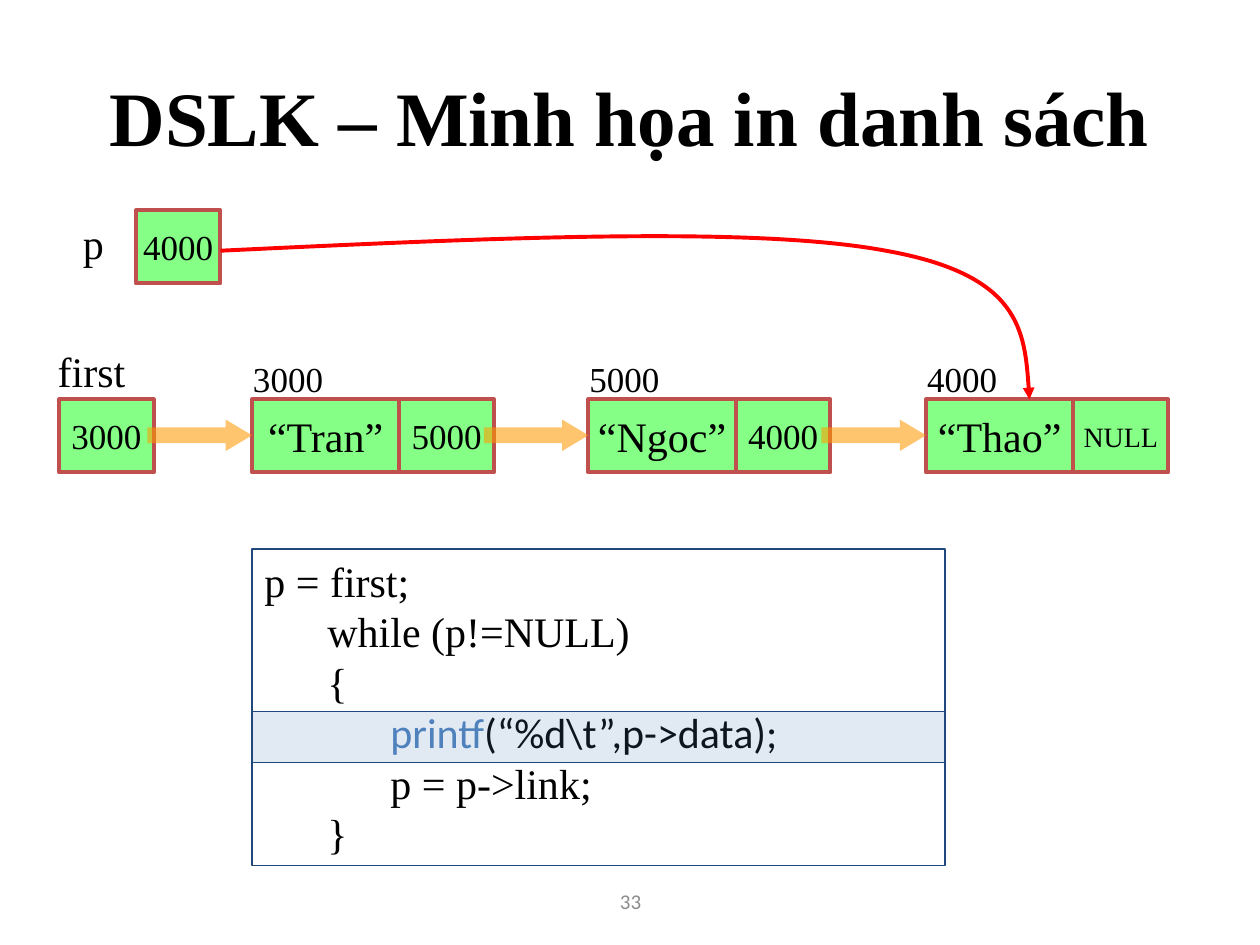
import dataclasses
import itertools

import pptx
import pptx.dml.color
import pptx.enum.shapes
import pptx.enum.text
import pptx.oxml
import pptx.oxml.ns
import pptx.util

Inches = pptx.util.Inches
Pt = pptx.util.Pt
Shape = pptx.enum.shapes.MSO_SHAPE
Align = pptx.enum.text.PP_ALIGN
Anchor = pptx.enum.text.MSO_ANCHOR
qn = pptx.oxml.ns.qn


@dataclasses.dataclass(frozen=True)
class Theme:
    serif: str = "Times New Roman"
    sans: str = "Calibri"
    ink: str = "000000"
    gray: str = "8C8C8C"
    green: str = "00FF00"
    edge: str = "C0504D"
    amber: str = "FF9900"
    navy: str = "1F497D"
    blue: str = "4F81BD"
    red: str = "FF0000"
    head: int = 44
    large: int = 24
    mid: int = 20
    small: int = 16
    foot: int = 12


theme = Theme()


def color(code):
    return pptx.dml.color.RGBColor.from_string(code)


def style(font, size, ink=theme.ink, face=theme.serif):
    font.size, font.name = Pt(size), face
    font.color.rgb = color(ink)


def block(slide, kind, box, fill=None, alpha=100, line=None, width=1):
    shape = slide.shapes.add_shape(kind, *map(Inches, box))
    shape.shadow.inherit = False
    if fill:
        shape.fill.solid()
        shape.fill.fore_color.rgb = color(fill)
        tint = shape._element.spPr.find(qn("a:solidFill"))[0]
        tint.append(pptx.oxml.parse_xml(
            f'<a:alpha {pptx.oxml.ns.nsdecls("a")} val="{alpha * 1000}"/>'))
    else:
        shape.fill.background()
    if line:
        shape.line.color.rgb = color(line)
        shape.line.width = Pt(width)
    else:
        shape.line.fill.background()
    return shape


def label(slide, box, text, size, ink=theme.ink, face=theme.serif, center=False):
    frame = slide.shapes.add_textbox(*map(Inches, box)).text_frame
    frame.word_wrap = center
    para = frame.paragraphs[0]
    para.text = text
    if center:
        frame.vertical_anchor = Anchor.MIDDLE
        para.alignment = Align.CENTER
    style(para.font, size, ink, face)


def cell(slide, box, text, size):
    shape = block(slide, Shape.RECTANGLE, box, theme.green, 48, theme.edge, 2.25)
    frame = shape.text_frame
    frame.word_wrap = False
    frame.vertical_anchor = Anchor.MIDDLE
    para = frame.paragraphs[0]
    para.text = text
    para.alignment = Align.CENTER
    style(para.font, size)


def node(slide, left, top, place, data, link):
    size = theme.small if link == "NULL" else theme.mid
    cell(slide, (left, top, 1.17, 0.58), data, theme.large)
    cell(slide, (left + 1.17, top, 0.75, 0.58), link, size)
    label(slide, (left - 0.09, top - 0.38, 0.76, 0.43), place, theme.mid)


def arrow(slide, tip, top):
    box = (tip - 0.83, top + 0.16, 0.83, 0.25)
    shape = block(slide, Shape.RIGHT_ARROW, box, theme.amber, 57)
    shape.adjustments[0], shape.adjustments[1] = 0.5, 0.833


def chain(slide, left, top):
    cell(slide, (left, top, 0.75, 0.58), "3000", theme.mid)
    label(slide, (left - 0.11, top - 0.48, 0.74, 0.5), "first", theme.large)
    nodes = [(1.53, "3000", "“Tran”", "5000"),
             (4.2, "5000", "“Ngoc”", "4000"),
             (6.88, "4000", "“Thao”", "NULL")]
    for shift, *parts in nodes:
        node(slide, left + shift, top, *parts)
    for shift, *_ in nodes:
        arrow(slide, left + shift, top)


def cursor(slide, left, top):
    label(slide, (left, top, 0.37, 0.5), "p", theme.large)
    cell(slide, (left + 0.52, top - 0.01, 0.67, 0.58), "4000", theme.mid)


def curve(slide, left, top):
    knots = [(2.11, -0.1), (4.21, -0.2), (5.28, 0),
             (6.35, 0.19), (6.39, 0.69), (6.42, 1.18)]
    pen = slide.shapes.build_freeform(Inches(left), Inches(top))
    pen.add_line_segments([(Inches(left + x), Inches(top + y)) for x, y in knots],
                          close=False)
    shape = pen.convert_to_shape()
    shape.shadow.inherit = False
    shape.fill.background()
    shape.line.color.rgb = color(theme.red)
    shape.line.width = Pt(2.25)
    lines = list(shape._element.iter(qn("a:lnTo")))
    for start in range(0, len(lines), 3):
        bend = pptx.oxml.parse_xml(f'<a:cubicBezTo {pptx.oxml.ns.nsdecls("a")}/>')
        lines[start].addprevious(bend)
        for line in lines[start:start + 3]:
            bend.append(line[0])
            line.getparent().remove(line)
    shape.line._get_or_add_ln().append(pptx.oxml.parse_xml(
        f'<a:tailEnd {pptx.oxml.ns.nsdecls("a")} type="triangle"/>'))


def code(slide, left, top, width, height):
    shape = block(slide, Shape.RECTANGLE, (left, top, width, height), line=theme.navy)
    frame = shape.text_frame
    frame.word_wrap = True
    frame.vertical_anchor = Anchor.TOP
    rows = [["p = first;"], ["\twhile (p!=NULL)"], ["\t{"],
            ["\t\t", "printf", "(“%d\\t”,p->data);"],
            ["\t\tp = p->link;"], ["\t}"]]
    paras = itertools.chain(frame.paragraphs, iter(frame.add_paragraph, None))
    for row, para in zip(rows, paras):
        para.alignment = Align.LEFT
        style(para.font, theme.large, face=theme.sans if len(row) > 1 else theme.serif)
        for text in row:
            run = para.add_run()
            run.text = text
            if text == "printf":
                run.font.color.rgb = color(theme.blue)
    block(slide, Shape.RECTANGLE, (left, top + 1.29, width, 0.4),
          theme.blue, 17, theme.navy, 0.75)


def title(slide, left, top, width, height):
    shape = slide.shapes.title
    shape.left, shape.top = Inches(left), Inches(top)
    shape.width, shape.height = Inches(width), Inches(height)
    frame = shape.text_frame
    frame.text = "DSLK – Minh họa in danh sách"
    frame.vertical_anchor = Anchor.MIDDLE
    para = frame.paragraphs[0]
    para.alignment = Align.CENTER
    style(para.font, theme.head)
    para.font.bold = True


def main():
    deck = pptx.Presentation()
    deck.slide_width, deck.slide_height = Inches(10), Inches(7.5)
    slide = deck.slides.add_slide(deck.slide_layouts[5])
    title(slide, 0.5, 0.17, 9, 1.5)
    label(slide, (3.42, 6.95, 3.17, 0.4), "33", theme.foot, theme.gray,
          theme.sans, True)
    code(slide, 2, 4.36, 5.5, 2.51)
    chain(slide, 0.47, 3.17)
    cursor(slide, 0.56, 1.68)
    curve(slide, 1.75, 1.99)
    deck.save("out.pptx")


if __name__ == "__main__":
    main()
